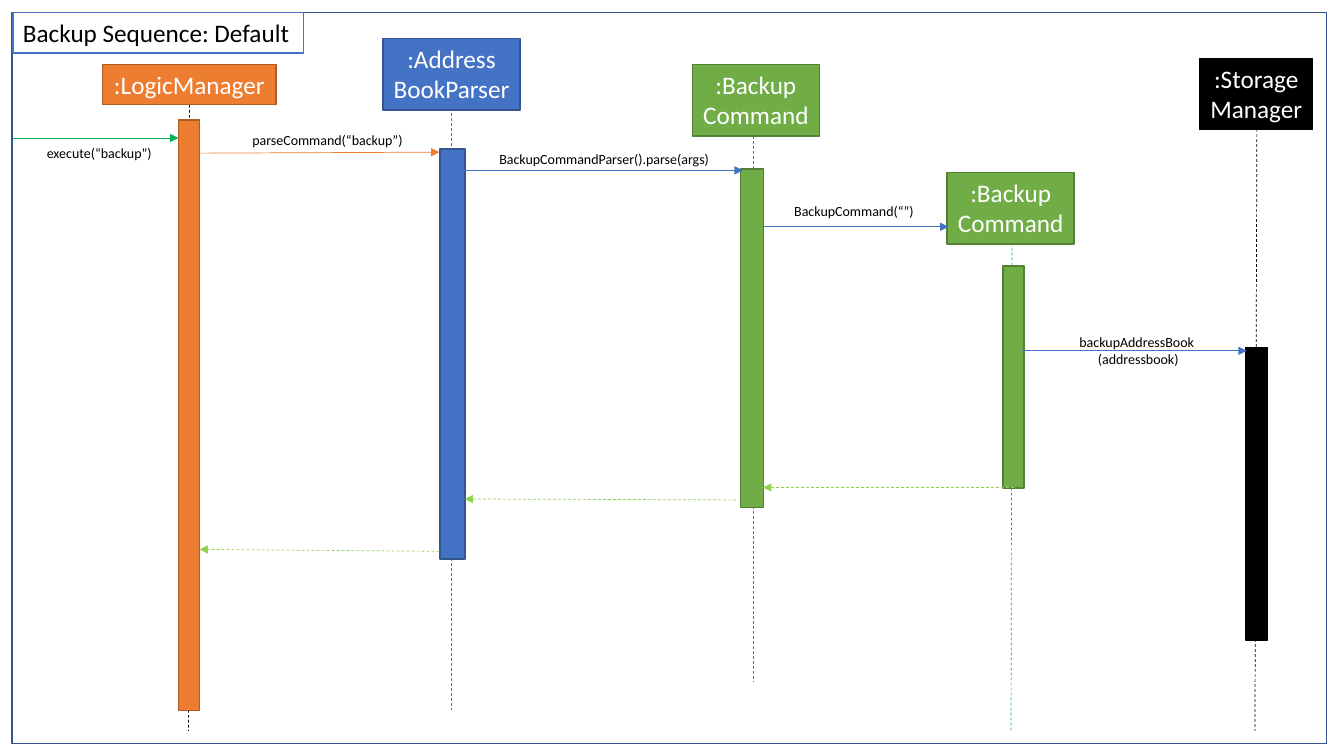
from dataclasses import dataclass

from lxml import etree
from pptx import Presentation
from pptx.dml.color import RGBColor
from pptx.enum import dml, shapes, text
from pptx.oxml import ns
from pptx.util import Pt

WHITE = RGBColor(0xFF, 0xFF, 0xFF)
BLACK = RGBColor(0, 0, 0)
ORANGE = RGBColor(0xED, 0x7D, 0x31)
RUST = RGBColor(0xAF, 0x5C, 0x24)
BLUE = RGBColor(0x44, 0x72, 0xC4)
NAVY = RGBColor(0x32, 0x54, 0x91)
GREEN = RGBColor(0x70, 0xAD, 0x47)
MOSS = RGBColor(0x53, 0x80, 0x35)
JADE = RGBColor(0x00, 0xB0, 0x50)
LIME = RGBColor(0x92, 0xD0, 0x50)

Box = tuple[float, float, float, float]  # left, top, width, height
Ends = tuple[float, float, float, float]  # x and y of start, x and y of end


@dataclass
class Role:
    name: str
    fill: RGBColor
    edge: RGBColor
    head: Box
    bar: Box
    stem: Ends
    tint: RGBColor


@dataclass
class Call:
    label: str
    box: Box
    ends: Ends
    tint: RGBColor


ROLES = [
    Role(":LogicManager", ORANGE, RUST, (73.4, 46.1, 123.8, 28.8),
         (127.4, 85.7, 15.1, 421.9), (135.4, 74.9, 134.6, 522), BLACK),
    Role(":Address\nBookParser", BLUE, NAVY, (273.6, 27.4, 97.9, 51.1),
         (314.2, 106.4, 18, 293), (322.6, 73.4, 322.6, 506.9), BLUE),
    Role(":Backup\nCommand", GREEN, MOSS, (494.6, 46.1, 90.7, 51.1),
         (528.8, 120.8, 16.6, 241.9), (537.8, 97.2, 537.8, 487.4), JADE),
    Role(":Backup\nCommand", GREEN, MOSS, (676.6, 123.1, 90.7, 51.1),
         (716.4, 190.1, 15.1, 158.4), (722.9, 141.1, 722.2, 522), JADE),
    Role(":Storage\nManager", BLACK, BLACK, (857, 41.6, 80.6, 51.1),
         (889.7, 248.4, 15.8, 208.8), (897.8, 92.2, 896.4, 522), BLACK),
]
CALLS = [
    Call("execute(“backup”)", (7.2, 99.4, 127.4, 19.4),
         (7.9, 98.6, 127.4, 98.6), JADE),
    Call("parseCommand(“backup”)", (172.3, 90.3, 123.1, 19.4),
         (143.3, 109.4, 313.9, 108.7), ORANGE),
    Call("BackupCommandParser().parse(args)", (348, 104.2, 167, 19.4),
         (330.5, 121.7, 530.6, 121.7), BLUE),
    Call("BackupCommand(“”)", (559.6, 141.1, 100.8, 19.4),
         (545, 162, 677.5, 162), BLUE),
    Call("backupAddressBook \n(addressbook)", (763, 234.7, 100.1, 31.7),
         (730.1, 250.6, 890.6, 250.6), BLUE),
]
BACKS: list[Ends] = [
    (724.3, 348.2, 545, 348.2),
    (525.6, 357.1, 331.9, 356.4),
    (313.9, 393.8, 142.6, 392.4),
]


def write(shape, words: str, size: float, color: RGBColor,
          align=text.PP_ALIGN.CENTER,
          fit=text.MSO_AUTO_SIZE.SHAPE_TO_FIT_TEXT) -> None:
    frame = shape.text_frame
    frame.text = words
    frame.word_wrap = False
    frame.auto_size = fit
    frame.vertical_anchor = text.MSO_ANCHOR.TOP
    for para in frame.paragraphs:
        para.alignment = align
        para.line_spacing = 1.0
        for run in para.runs:
            run.font.name = "Calibri"
            run.font.size = Pt(size)
            run.font.color.rgb = color


def paint(shape, fill: RGBColor | None, edge: RGBColor) -> None:
    if fill is None:
        shape.fill.background()
    else:
        shape.fill.solid()
        shape.fill.fore_color.rgb = fill
    shape.line.color.rgb = edge
    shape.line.width = Pt(1)


def block(slide, box: Box, fill: RGBColor | None, edge: RGBColor):
    shape = slide.shapes.add_shape(shapes.MSO_SHAPE.RECTANGLE, *map(Pt, box))
    shape.shadow.inherit = False
    paint(shape, fill, edge)
    return shape


def draw(slide, ends: Ends, tint: RGBColor, dash: bool, arrow: bool) -> None:
    link = slide.shapes.add_connector(
        shapes.MSO_CONNECTOR.STRAIGHT, *map(Pt, ends))
    link.line.color.rgb = tint
    link.line.width = Pt(0.5)
    if dash:
        link.line.dash_style = dml.MSO_LINE.DASH
    if arrow:
        tail = etree.SubElement(link.line._get_or_add_ln(), ns.qn("a:tailEnd"))
        tail.set("type", "triangle")
    etree.SubElement(link.element.spPr, ns.qn("a:effectLst"))


def main() -> None:
    deck = Presentation()
    deck.slide_width, deck.slide_height = Pt(960), Pt(540)
    slide = deck.slides.add_slide(deck.slide_layouts[5])

    # Lifelines, with their heads and activation bars
    for role in ROLES:
        draw(slide, role.stem, role.tint, dash=True, arrow=False)
        head = block(slide, role.head, role.fill, role.edge)
        write(head, role.name, 18, WHITE)
        block(slide, role.bar, role.fill, role.edge)

    # Calls and their labels
    for call in CALLS:
        draw(slide, call.ends, call.tint, dash=False, arrow=True)
        label = slide.shapes.add_textbox(*map(Pt, call.box))
        write(label, call.label, 10, BLACK)

    # Returns
    for ends in BACKS:
        draw(slide, ends, LIME, dash=True, arrow=True)

    # Frame, with the title as its tab in front
    block(slide, (8.6, 9, 938.9, 522), None, NAVY)
    title = slide.shapes.title
    title.left, title.top, title.width, title.height = map(
        Pt, (9.2, 8.8, 207.4, 29))
    paint(title, WHITE, BLUE)
    write(title, "Backup Sequence: Default", 18, BLACK,
          text.PP_ALIGN.LEFT, text.MSO_AUTO_SIZE.NONE)
    title.element.getparent().append(title.element)

    deck.save("out.pptx")


if __name__ == "__main__":
    main()
